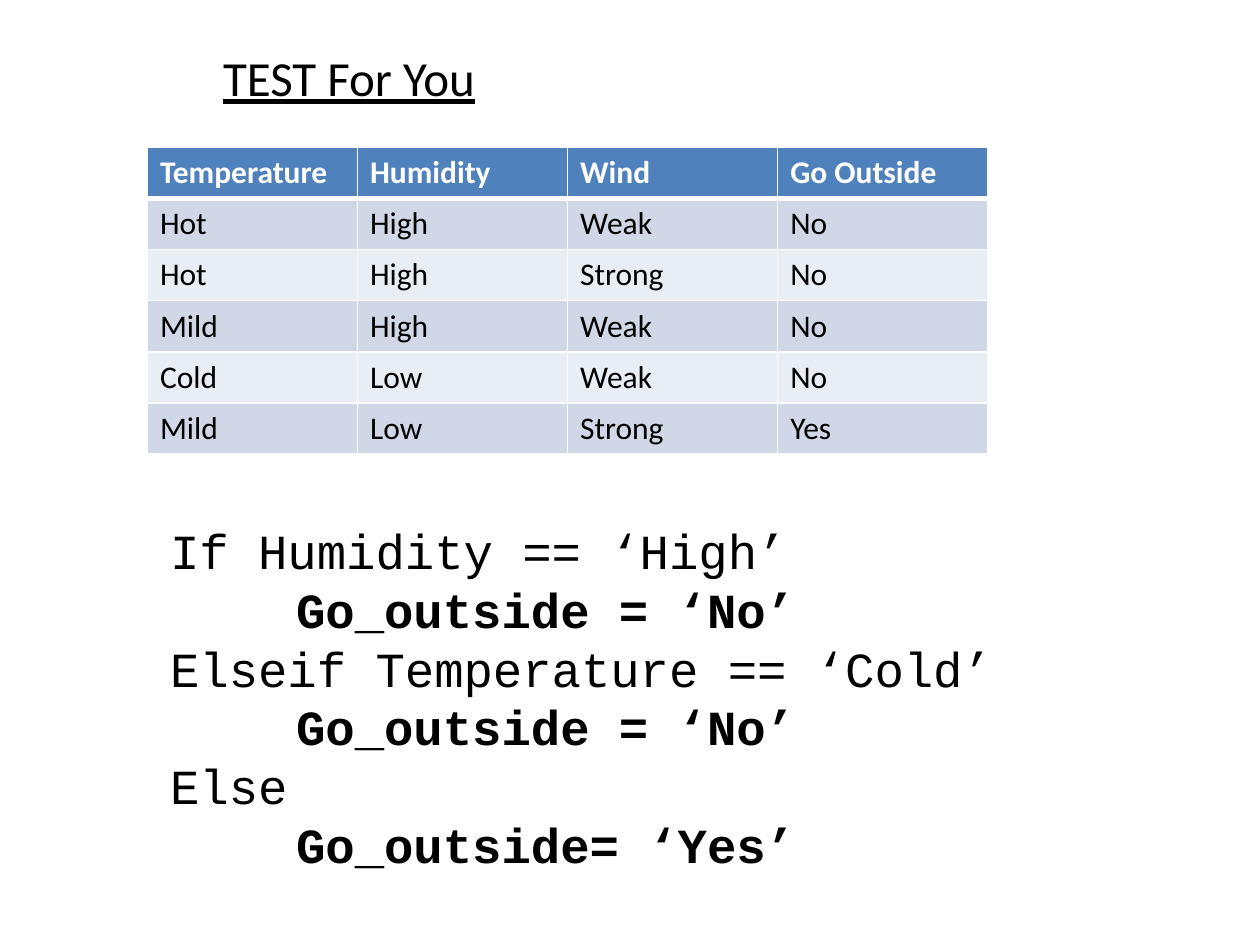
from dataclasses import dataclass

from lxml.etree import SubElement
from pptx import Presentation
from pptx.dml.color import RGBColor
from pptx.enum.text import MSO_ANCHOR, MSO_AUTO_SIZE, PP_ALIGN
from pptx.oxml.ns import qn
from pptx.shapes.placeholder import SlidePlaceholder
from pptx.slide import Slide
from pptx.table import _Cell
from pptx.text.text import _Paragraph
from pptx.util import Inches, Pt


@dataclass(frozen=True)
class Theme:
    text_font: str = "Calibri"
    code_font: str = "Courier New"
    black: str = "000000"
    white: str = "FFFFFF"
    header: str = "4F81BD"
    bands: tuple[str, str] = ("D0D8E8", "E9EDF4")
    large: int = 28
    small: int = 18


@dataclass(frozen=True)
class Box:
    left: float
    top: float
    width: float
    height: float


@dataclass(frozen=True)
class CodeLine:
    text: str
    is_action: bool = False


THEME = Theme()
TITLE_BOX = Box(1.67, 0.33, 4, 0.57)
TABLE_BOX = Box(1.17, 1.17, 6.67, 2.43)
CODE_BOX = Box(1.25, 4.08, 7.25, 2.93)
WEATHER_ROWS = (
    ("Temperature", "Humidity", "Wind", "Go Outside"),
    ("Hot", "High", "Weak", "No"),
    ("Hot", "High", "Strong", "No"),
    ("Mild", "High", "Weak", "No"),
    ("Cold", "Low", "Weak", "No"),
    ("Mild", "Low", "Strong", "Yes"),
)
CODE_LINES = (
    CodeLine("If Humidity == ‘High’"),
    CodeLine("Go_outside = ‘No’", True),
    CodeLine("Elseif Temperature == ‘Cold’"),
    CodeLine("Go_outside = ‘No’", True),
    CodeLine("Else"),
    CodeLine("Go_outside= ‘Yes’", True),
)


def add_run(paragraph: _Paragraph, text: str, size: int, font_name: str,
            color: str = THEME.black, bold: bool = False, underline: bool = False) -> None:
    run = paragraph.add_run()
    run.text = text
    font = run.font
    font.name, font.size = font_name, Pt(size)
    font.bold, font.underline = bold, underline
    font.color.rgb = RGBColor.from_string(color)


def place(shape: SlidePlaceholder, box: Box) -> None:
    shape.left, shape.top = Inches(box.left), Inches(box.top)
    shape.width, shape.height = Inches(box.width), Inches(box.height)
    frame = shape.text_frame
    frame.word_wrap = True
    frame.auto_size = MSO_AUTO_SIZE.NONE
    frame.vertical_anchor = MSO_ANCHOR.TOP


def set_borders(cell: _Cell, bottom_width: int) -> None:
    properties = cell._tc.get_or_add_tcPr()
    widths = {"a:lnL": 1, "a:lnR": 1, "a:lnT": 1, "a:lnB": bottom_width}
    for index, (tag, width) in enumerate(widths.items()):
        line = SubElement(properties, qn(tag), w=str(Pt(width)))
        fill = SubElement(line, qn("a:solidFill"))
        SubElement(fill, qn("a:srgbClr"), val=THEME.white)
        # Borders come before the cell fill
        properties.insert(index, line)


def add_title(slide: Slide) -> None:
    title = slide.shapes.title
    place(title, TITLE_BOX)
    paragraph = title.text_frame.paragraphs[0]
    paragraph.alignment = PP_ALIGN.LEFT
    add_run(paragraph, "TEST For You", THEME.large, THEME.text_font, underline=True)


def add_weather_table(slide: Slide) -> None:
    row_count, column_count = len(WEATHER_ROWS), len(WEATHER_ROWS[0])
    table = slide.shapes.add_table(
        row_count, column_count, Inches(TABLE_BOX.left), Inches(TABLE_BOX.top),
        Inches(TABLE_BOX.width), Inches(TABLE_BOX.height)).table
    for row_index, row in enumerate(WEATHER_ROWS):
        is_header = row_index == 0
        background = THEME.header if is_header else THEME.bands[(row_index - 1) % 2]
        for column_index, text in enumerate(row):
            cell = table.cell(row_index, column_index)
            cell.fill.solid()
            cell.fill.fore_color.rgb = RGBColor.from_string(background)
            set_borders(cell, 3 if is_header else 1)
            add_run(cell.text_frame.paragraphs[0], text, THEME.small, THEME.text_font,
                    THEME.white if is_header else THEME.black, bold=is_header)


def add_code(slide: Slide) -> None:
    body = slide.placeholders[1]
    place(body, CODE_BOX)
    frame = body.text_frame
    for index, line in enumerate(CODE_LINES):
        paragraph = frame.paragraphs[0] if index == 0 else frame.add_paragraph()
        paragraph.space_before = Pt(0)
        # Plain lines without bullets; actions are indented
        properties = paragraph._p.get_or_add_pPr()
        properties.set("marL", str(Inches(1 if line.is_action else 0)))
        properties.set("indent", "0")
        SubElement(properties, qn("a:buNone"))
        add_run(paragraph, line.text, THEME.large, THEME.code_font, bold=line.is_action)


def main() -> None:
    presentation = Presentation()
    presentation.slide_width, presentation.slide_height = Inches(10), Inches(7.5)
    slide = presentation.slides.add_slide(presentation.slide_layouts[1])
    add_title(slide)
    add_weather_table(slide)
    add_code(slide)
    presentation.save("out.pptx")


main()
